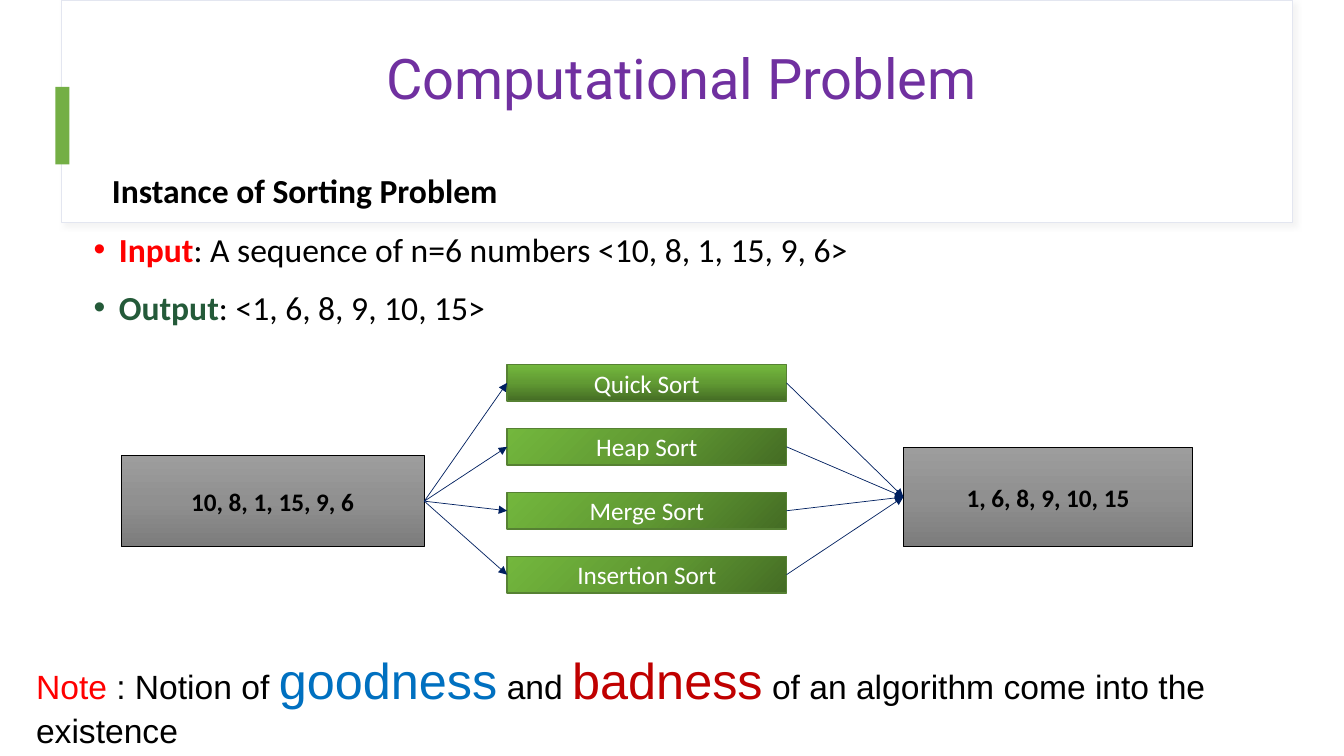
from pptx import Presentation
from pptx.dml.color import RGBColor
from pptx.enum.shapes import MSO_CONNECTOR, MSO_SHAPE
from pptx.enum.text import MSO_ANCHOR, PP_ALIGN
from pptx.oxml import parse_xml
from pptx.oxml.ns import nsdecls, qn
from pptx.util import Pt

RECTANGLE = MSO_SHAPE.RECTANGLE
STRAIGHT = MSO_CONNECTOR.STRAIGHT
TOP, MIDDLE = MSO_ANCHOR.TOP, MSO_ANCHOR.MIDDLE
LEFT, CENTER = PP_ALIGN.LEFT, PP_ALIGN.CENTER
LEFT_SITE, RIGHT_SITE = 1, 3

BLACK = RGBColor(0x00, 0x00, 0x00)
WHITE = RGBColor(0xFF, 0xFF, 0xFF)
RED = RGBColor(0xFF, 0x00, 0x00)
DARK_RED = RGBColor(0xC0, 0x00, 0x00)
BLUE = RGBColor(0x00, 0x70, 0xC0)
NAVY = RGBColor(0x00, 0x20, 0x60)
PURPLE = RGBColor(0x70, 0x30, 0xA0)
GREEN = RGBColor(0x74, 0xAF, 0x45)
DARK_GREEN = RGBColor(0x24, 0x5A, 0x39)
GREEN_EDGE = RGBColor(0x56, 0x81, 0x33)
PANEL_EDGE = RGBColor(0xE3, 0xE6, 0xF0)
SHADOW = RGBColor(0xD9, 0xD9, 0xD9)
GREYS = [RGBColor(0x9D, 0x9D, 0x9D), RGBColor(0x90, 0x90, 0x90), RGBColor(0x7C, 0x7C, 0x7C)]
GREENS = [RGBColor(0x44, 0x6C, 0x24), RGBColor(0x61, 0x9A, 0x33), RGBColor(0x73, 0xB7, 0x3D)]

SORTS = ["Quick Sort", "Heap Sort", "Merge Sort", "Insertion Sort"]


def add_rectangle(slide, box, fill=None, edge=None, edge_width=0.5):
    shape = slide.shapes.add_shape(RECTANGLE, *map(Pt, box))
    shape.shadow.inherit = False
    if fill is None:
        shape.fill.background()
    else:
        shape.fill.solid()
        shape.fill.fore_color.rgb = fill
    if edge is None:
        shape.line.fill.background()
    else:
        shape.line.color.rgb = edge
        shape.line.width = Pt(edge_width)
    return shape


def set_gradient(shape, colors, angle):
    """Fill with evenly spaced stops; the angle is in degrees clockwise."""
    stops = "".join(
        f'<a:gs pos="{index * 50000}"><a:srgbClr val="{color}"/></a:gs>'
        for index, color in enumerate(colors))
    gradient = parse_xml(
        f'<a:gradFill {nsdecls("a")} rotWithShape="1"><a:gsLst>{stops}</a:gsLst>'
        f'<a:lin ang="{angle * 60000}" scaled="0"/></a:gradFill>')
    properties = shape._element.spPr
    properties.replace(properties.find(qn("a:noFill")), gradient)


def add_text_box(slide, box, anchor=TOP):
    frame = slide.shapes.add_textbox(*map(Pt, box)).text_frame
    frame.word_wrap = True
    frame.vertical_anchor = anchor
    return frame


def write_spans(para, spans, font="Calibri", align=LEFT):
    """Write (text, size, color, bold) spans into a paragraph."""
    para.alignment = align
    for text, size, color, bold in spans:
        span = para.add_run()
        span.text = text
        span.font.name = font
        span.font.size = Pt(size)
        span.font.color.rgb = color
        span.font.bold = bold


def add_bullet(para):
    properties = para._p.get_or_add_pPr()
    properties.set("marL", str(Pt(18)))
    properties.set("indent", str(-Pt(18)))
    properties.append(parse_xml(f'<a:buFont {nsdecls("a")} typeface="Arial"/>'))
    properties.append(parse_xml(f'<a:buChar {nsdecls("a")} char="•"/>'))


def draw_header(slide, box):
    left, top, width, height = box
    panel = add_rectangle(slide, box, WHITE, PANEL_EDGE, 0.75)
    panel._element.spPr.find(qn("a:effectLst")).append(parse_xml(
        f'<a:outerShdw {nsdecls("a")} blurRad="{Pt(4)}" dist="{Pt(3)}" dir="2700000" '
        f'algn="tl" rotWithShape="0"><a:srgbClr val="{SHADOW}">'
        '<a:alpha val="30000"/></a:srgbClr></a:outerShdw>'))
    add_rectangle(slide, (left - 4.4, top + 62, 10, 55.4), GREEN)
    frame = add_text_box(slide, (left + 42.4, top + 11.5, 800.6, 92.9), MIDDLE)
    title = frame.paragraphs[0]
    title.line_spacing = 0.9
    write_spans(title, [("Computational Problem", 40, PURPLE, False)], "Roboto", CENTER)


def draw_problem(slide, box):
    left, top, width, height = box
    frame = add_text_box(slide, (left + 13, top, 389, 36))
    frame.margin_top = 0
    heading = frame.paragraphs[0]
    heading.line_spacing = 1.1
    write_spans(heading, [("Instance of Sorting Problem", 24, BLACK, True)])

    frame = add_text_box(slide, (left, top + 38.5, width, height - 38.5))
    items = [("Input", RED, ": A sequence of n=6 numbers <10, 8, 1, 15, 9, 6>"),
             ("Output", DARK_GREEN, ": <1, 6, 8, 9, 10, 15>")]
    for index, (label, color, text) in enumerate(items):
        para = frame.add_paragraph() if index else frame.paragraphs[0]
        para.line_spacing = 1.1
        if index:
            para.space_before = Pt(10)
        add_bullet(para)
        write_spans(para, [(label, 24, color, True), (text, 24, BLACK, False)])


def add_node(slide, box, text, colors, angle, edge, edge_width, text_color, bold):
    node = add_rectangle(slide, box, None, edge, edge_width)
    set_gradient(node, colors, angle)
    node.text_frame.vertical_anchor = MIDDLE
    write_spans(node.text_frame.paragraphs[0], [(text, 18, text_color, bold)], align=CENTER)
    return node


def add_arrow(slide, source, target):
    arrow = slide.shapes.add_connector(STRAIGHT, 0, 0, 0, 0)
    arrow.begin_connect(source, RIGHT_SITE)
    arrow.end_connect(target, LEFT_SITE)
    arrow.line.color.rgb = NAVY
    arrow.line.width = Pt(0.5)
    arrow.line._get_or_add_ln().append(
        parse_xml(f'<a:tailEnd {nsdecls("a")} type="triangle"/>'))
    arrow._element.spPr.append(parse_xml(f'<a:effectLst {nsdecls("a")}/>'))


def draw_sorting_diagram(slide, box):
    left, top, width, height = box
    grey_style = (GREYS, 90, BLACK, 0.5, BLACK, True)
    unsorted_list = add_node(slide, (left, top + 65, 216.7, 65),
                             "10, 8, 1, 15, 9, 6", *grey_style)
    sorted_list = add_node(slide, (left + width - 206.7, top + 59, 206.7, 71),
                           "1, 6, 8, 9, 10, 15", *grey_style)
    node_height = 26
    pitch = (height - node_height) / (len(SORTS) - 1)
    sorts = [
        add_node(slide, (left + 275.8, top + index * pitch, 199.6, node_height), name,
                 GREENS, 225 if index else 270, GREEN_EDGE, 1, WHITE, False)
        for index, name in enumerate(SORTS)]
    for sort in sorts:
        add_arrow(slide, unsorted_list, sort)
    for sort in sorts:
        add_arrow(slide, sort, sorted_list)


def draw_note(slide, box):
    frame = add_text_box(slide, box)
    write_spans(frame.paragraphs[0], [
        ("Note", 24, RED, False),
        (" : Notion of ", 24, BLACK, False),
        ("goodness", 36, BLUE, False),
        (" and ", 24, BLACK, False),
        ("badness", 36, DARK_RED, False),
        (" of an algorithm come into the existence", 24, BLACK, False)], "Arial")


def main():
    deck = Presentation()
    deck.slide_width, deck.slide_height = Pt(960), Pt(540)
    page = deck.slides.add_slide(deck.slide_layouts[6])
    draw_header(page, (44, 0, 879, 159))
    draw_problem(page, (59.8, 118.5, 841, 271.5))
    draw_sorting_diagram(page, (86.4, 260.5, 765.6, 163))
    draw_note(page, (18.7, 460, 941, 80))
    deck.save("out.pptx")


if __name__ == "__main__":
    main()
